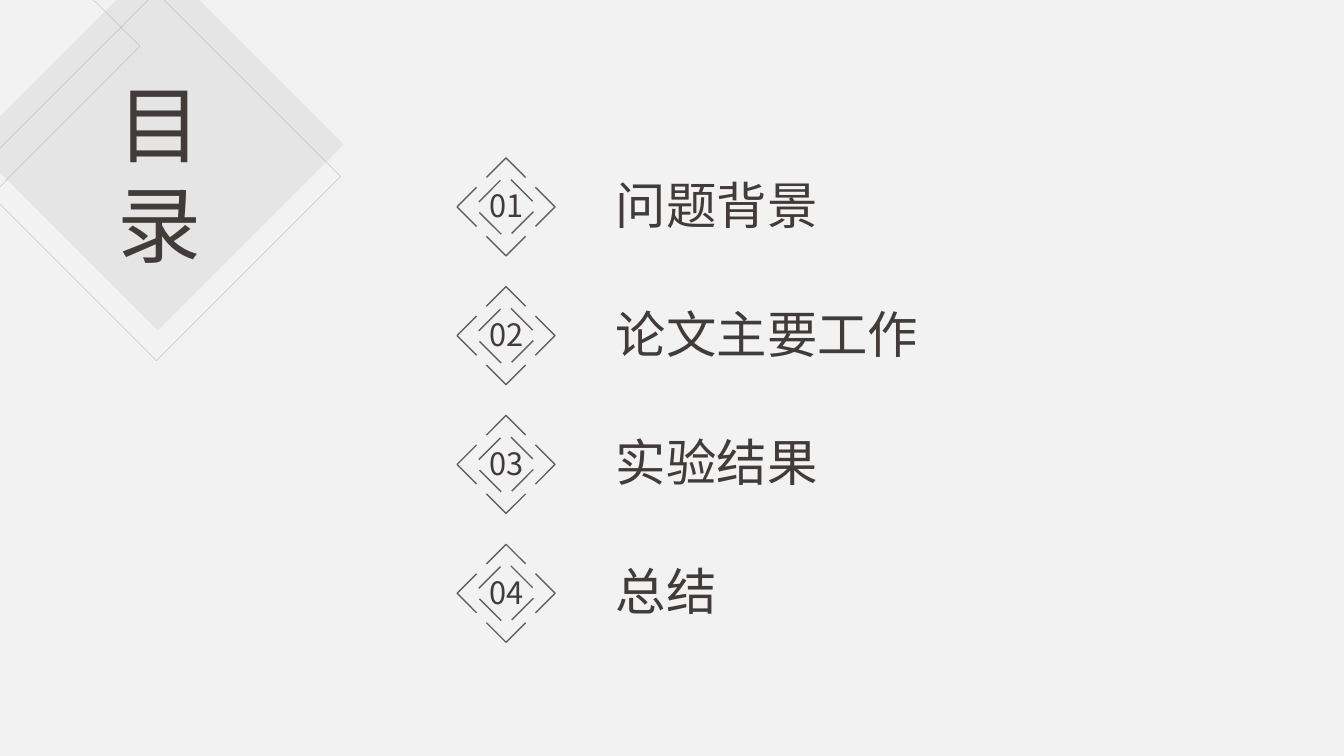
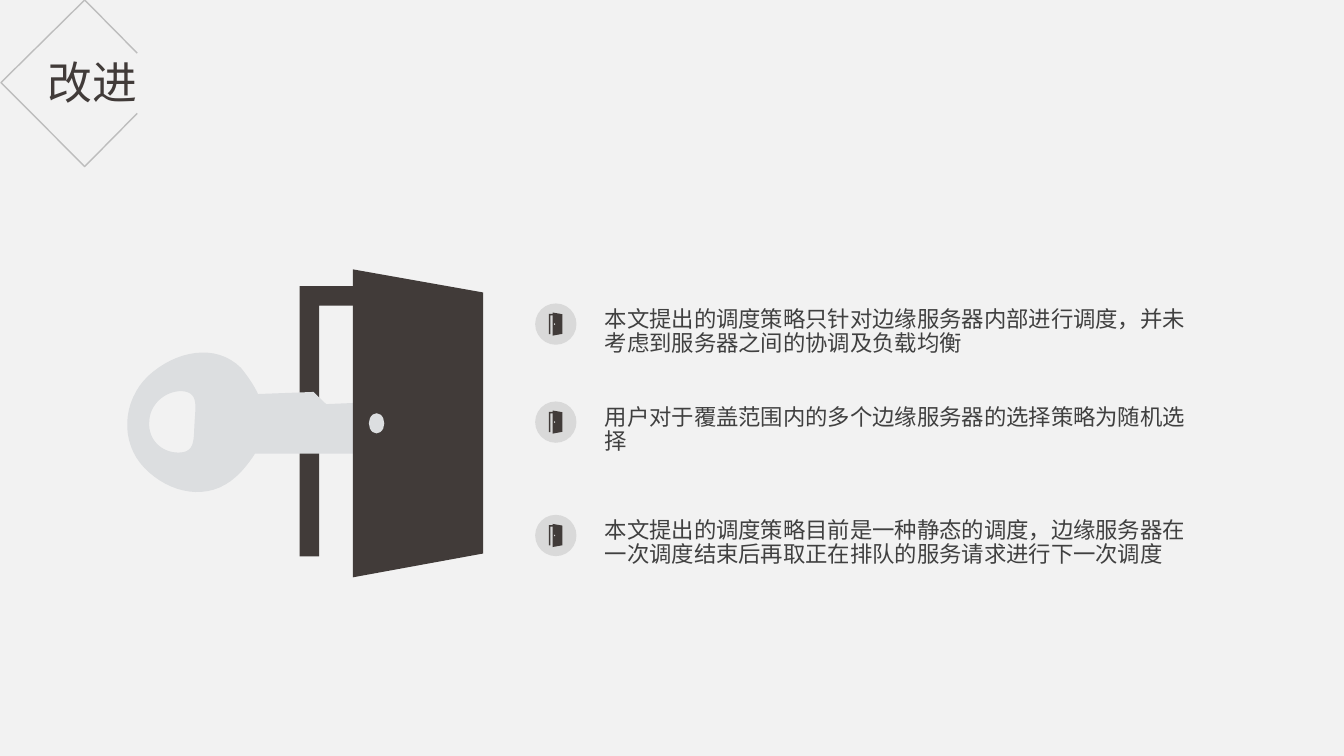
import pptx
import pptx.dml.color
import pptx.enum.shapes
import pptx.enum.text
import pptx.oxml.ns
import pptx.util
from dataclasses import dataclass
from lxml import etree

Pt = pptx.util.Pt
qn = pptx.oxml.ns.qn
SHAPE = pptx.enum.shapes.MSO_SHAPE
ANCHOR = pptx.enum.text.MSO_ANCHOR
ALIGN = pptx.enum.text.PP_ALIGN

CONTENTS = {
    "title": "目录",
    "sections": ["问题背景", "论文主要工作", "实验结果", "总结"],
}
IMPROVEMENTS = {
    "title": "改进",
    "points": [
        (231.5, "本文提出的调度策略只针对边缘服务器内部进行调度，并未考虑到服务器之间的协调及负载均衡"),
        (301.5, "用户对于覆盖范围内的多个边缘服务器的选择策略为随机选择"),
        (382.5, "本文提出的调度策略目前是一种静态的调度，边缘服务器在一次调度结束后再取正在排队的服务请求进行下一次调度"),
    ],
}


@dataclass(frozen=True)
class Theme:
    font: str = "Noto Sans CJK SC"
    background: str = "F2F2F2"
    dark: str = "413B39"
    body: str = "404040"
    marker: str = "616161"
    outline: str = "808080"
    diamond: str = "A6A6A6"
    key: str = "DCDEE0"
    badge: str = "D9D9D9"
    contents_title_size: float = 60
    title_size: float = 32
    section_size: float = 36
    number_size: float = 22
    body_size: float = 16


THEME = Theme()

CORNER_TRIANGLE = [(-1.4, -67.7), (100, 33), (-1.4, 134.6)]
TITLE_FRAME = [(98, 38), (60.5, 0), (0.7, 59), (60.5, 119), (98, 81)]
CHEVRON = [(-14, -21), (0, -35), (14, -21)]
INNER_EDGE = [(3.5, -19.5), (19, -4)]
DOOR_FRAME = [(38, 12), (0, 12), (0, 205), (14, 205), (14, 26), (38, 26)]
DOOR_PANEL = [(38, 0), (38, 220), (131, 203), (131, 16.5)]
DOOR_KNOB = (49.5, 102.8, 11, 14.4)
KEY_BODY = [
    (105.8, 268.6),
    (87.1, 286.6, 85.7, 316.1, 103, 334.1),
    (121, 352.8, 149, 358.6, 168.5, 340.6),
    (172.8, 337, 178.6, 329.8, 182.2, 324),
    (262.8, 324), (285, 308), (285, 301), (267, 287.3),
    (233, 288.7), (223.9, 280), (184.3, 281.5),
    (181.4, 275, 175.7, 267.1, 172.1, 262.8),
    (154.1, 244.8, 125.3, 250.6, 105.8, 268.6),
]
KEY_HOLE = [
    (129.6, 279.4),
    (141.8, 280.1, 139.7, 289.4, 139, 301.7),
    (138.2, 313.9, 139.7, 323.3, 127.4, 323.3),
    (115.2, 323.3, 105.8, 313.9, 106.6, 301.7),
    (106.6, 289.4, 117.4, 279.4, 129.6, 279.4),
]


def rgb(color):
    return pptx.dml.color.RGBColor.from_string(color)


def apply(target, values):
    for name, value in values.items():
        setattr(target, name, value)


def set_opacity(fill_parent, percent):
    color = next(fill_parent.iter(qn("a:srgbClr")))
    etree.SubElement(color, qn("a:alpha")).set("val", str(percent * 1000))


def set_line(shape, color, width, opacity=100):
    shape.line.color.rgb = rgb(color)
    shape.line.width = Pt(width)
    if opacity < 100:
        set_opacity(next(shape.element.iter(qn("a:ln"))), opacity)


def paint(shape, fill=None, line=None, opacity=100):
    shape.shadow.inherit = False
    if fill:
        shape.fill.solid()
        shape.fill.fore_color.rgb = rgb(fill)
        if opacity < 100:
            set_opacity(shape.element.spPr, opacity)
    else:
        shape.fill.background()
    if line:
        set_line(shape, *line)
    else:
        shape.line.fill.background()


def add_preset(slide, kind, box, **look):
    shape = slide.shapes.add_shape(kind, *map(Pt, box))
    paint(shape, **look)


def flatten(contour, steps=16):
    points = [contour[0]]
    for segment in contour[1:]:
        if len(segment) == 2:
            points.append(segment)
            continue
        start = points[-1]
        for step in range(1, steps + 1):
            t = step / steps
            weights = ((1 - t) ** 3, 3 * t * (1 - t) ** 2, 3 * t * t * (1 - t), t ** 3)
            points.append(tuple(
                sum(w * v for w, v in zip(weights, (start[axis], *segment[axis::2])))
                for axis in (0, 1)))
    return points


def add_outline(slide, *contours, close=True, **look):
    builder = None
    for contour in contours:
        first, *rest = [(Pt(x), Pt(y)) for x, y in flatten(contour)]
        if builder is None:
            builder = slide.shapes.build_freeform(*first, scale=1.0)
        else:
            builder.move_to(*first)
        builder.add_line_segments(rest, close=close)
    paint(builder.convert_to_shape(), **look)


def add_line(slide, start, end, color, width):
    connector = slide.shapes.add_connector(
        pptx.enum.shapes.MSO_CONNECTOR.STRAIGHT, *map(Pt, (*start, *end)))
    set_line(connector, color, width)
    etree.SubElement(connector.element.spPr, qn("a:effectLst"))


def write(shape, box, text, size, color=THEME.dark, align=ALIGN.LEFT,
          anchor=ANCHOR.MIDDLE, spacing=None):
    left, top, width, height = map(Pt, box)
    apply(shape, {"left": left, "top": top, "width": width, "height": height})
    frame = shape.text_frame
    frame.text = text
    apply(frame, {"word_wrap": True, "auto_size": pptx.enum.text.MSO_AUTO_SIZE.NONE,
                  "vertical_anchor": anchor, "margin_left": 0, "margin_right": 0,
                  "margin_top": 0, "margin_bottom": 0})
    paragraph = frame.paragraphs[0]
    apply(paragraph, {"alignment": align, "line_spacing": Pt(spacing) if spacing else 1.0})
    font = paragraph.runs[0].font
    apply(font, {"name": THEME.font, "size": Pt(size), "bold": False})
    font.color.rgb = rgb(color)
    latin = next(paragraph.runs[0]._r.iter(qn("a:latin")))
    east_asian = etree.Element(qn("a:ea"))
    east_asian.set("typeface", THEME.font)
    latin.addnext(east_asian)


def add_text(slide, box, text, size, **style):
    write(slide.shapes.add_textbox(*map(Pt, box)), box, text, size, **style)


def write_title(slide, box, text, size, **style):
    title = slide.shapes.title
    write(title, box, text, size, **style)
    title.element.getparent().append(title.element)


def place(points, left, top, scale=1):
    return [(left + x * scale, top + y * scale) for x, y in points]


def quarter_turns(points):
    for _ in range(4):
        yield points
        points = [(-y, x) for x, y in points]


def add_marker(slide, x, y, number):
    for chevron in quarter_turns(CHEVRON):
        add_outline(slide, place(chevron, x, y), close=False, line=(THEME.marker, 1))
    for edge in quarter_turns(INNER_EDGE):
        add_line(slide, *place(edge, x, y), THEME.marker, 1)
    add_text(slide, (x - 27, y - 18, 54, 34), number, THEME.number_size, align=ALIGN.CENTER)


def add_door_frame(slide, left, top, scale=1):
    add_outline(slide, place(DOOR_FRAME, left, top, scale), fill=THEME.dark)


def add_door_panel(slide, left, top, knob_color, scale=1):
    add_outline(slide, place(DOOR_PANEL, left, top, scale), fill=THEME.dark)
    x, y, width, height = (value * scale for value in DOOR_KNOB)
    add_preset(slide, SHAPE.OVAL, (left + x, top + y, width, height), fill=knob_color)


def build_contents(slide):
    thin_line = (THEME.outline, 0.25, 48)
    add_preset(slide, SHAPE.DIAMOND, (-20, -29.5, 265.5, 265.5), fill=THEME.diamond, opacity=16)
    add_outline(slide, CORNER_TRIANGLE, line=thin_line)
    add_preset(slide, SHAPE.DIAMOND, (-20, -5.75, 263.5, 263.5), line=thin_line)
    for index, section in enumerate(CONTENTS["sections"]):
        center = 147.8 + 92 * index
        add_marker(slide, 361.5, center, f"{index + 1:02d}")
        add_text(slide, (440, center - 28, 257, 52), section, THEME.section_size)
    write_title(slide, (78, 52, 72, 145), CONTENTS["title"], THEME.contents_title_size,
                align=ALIGN.CENTER, anchor=ANCHOR.TOP, spacing=71.5)


def build_improvements(slide):
    door_left, door_top = 214, 192.4
    add_door_frame(slide, door_left, door_top)
    add_outline(slide, KEY_BODY, KEY_HOLE, fill=THEME.key)
    add_door_panel(slide, door_left, door_top, THEME.key)
    badge_x, badge_size, icon_scale = 397, 29.5, 0.075
    for center, text in IMPROVEMENTS["points"]:
        icon = (badge_x - 5, center - 8.25)
        add_preset(slide, SHAPE.OVAL,
                   (badge_x - badge_size / 2, center - badge_size / 2, badge_size, badge_size),
                   fill=THEME.badge)
        add_door_frame(slide, *icon, icon_scale)
        add_door_panel(slide, *icon, THEME.badge, icon_scale)
        add_text(slide, (432, center - 11.7, 424.8, 36), text, THEME.body_size,
                 color=THEME.body, anchor=ANCHOR.TOP, spacing=17.1)
    add_outline(slide, TITLE_FRAME, close=False, line=(THEME.outline, 1, 45))
    write_title(slide, (34, 35.5, 203, 46), IMPROVEMENTS["title"], THEME.title_size)


def main():
    presentation = pptx.Presentation()
    apply(presentation, {"slide_width": Pt(960), "slide_height": Pt(540)})
    background = presentation.slide_master.background.fill
    background.solid()
    background.fore_color.rgb = rgb(THEME.background)
    for build in (build_contents, build_improvements):
        build(presentation.slides.add_slide(presentation.slide_layouts[5]))
    presentation.save("out.pptx")


if __name__ == "__main__":
    main()
